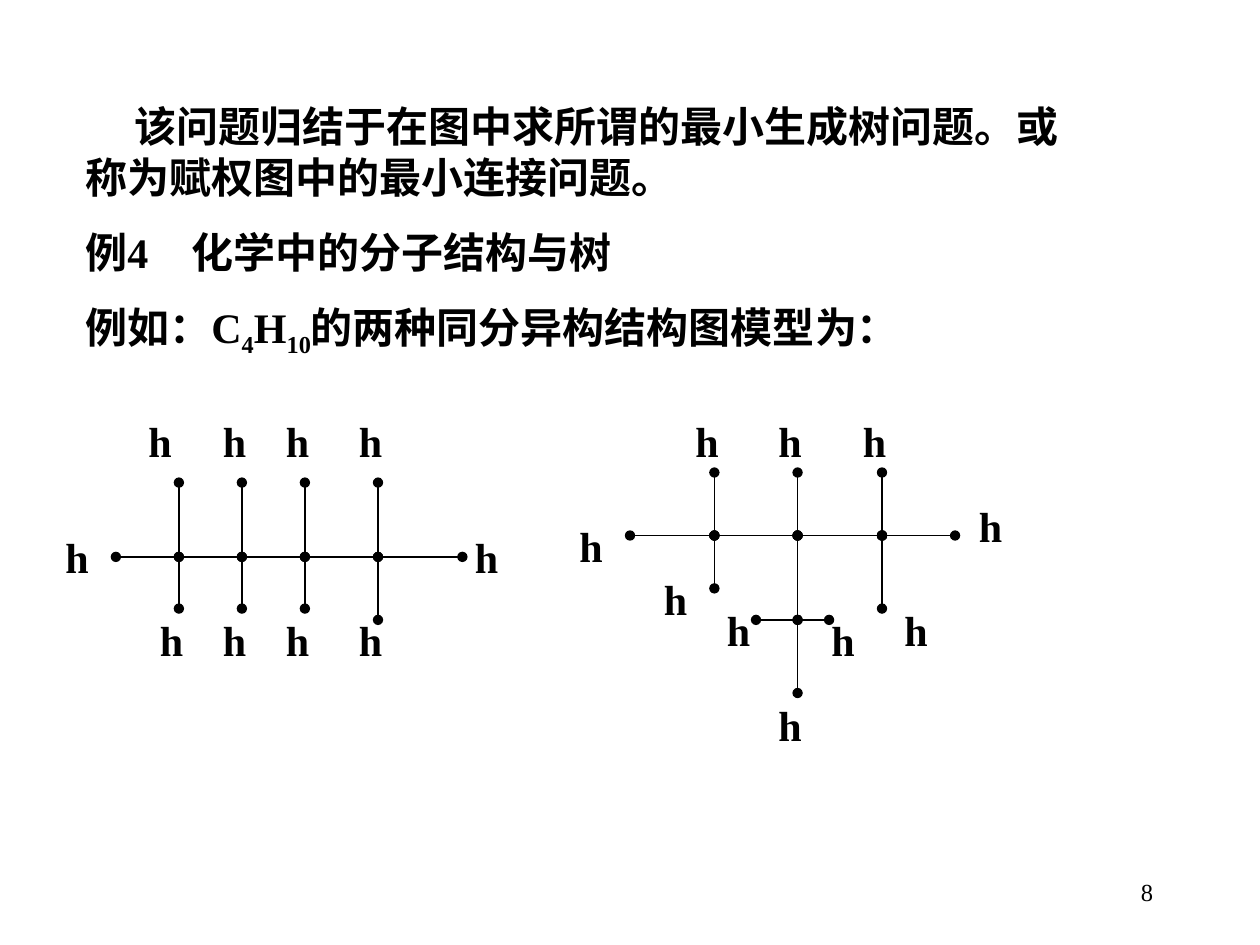
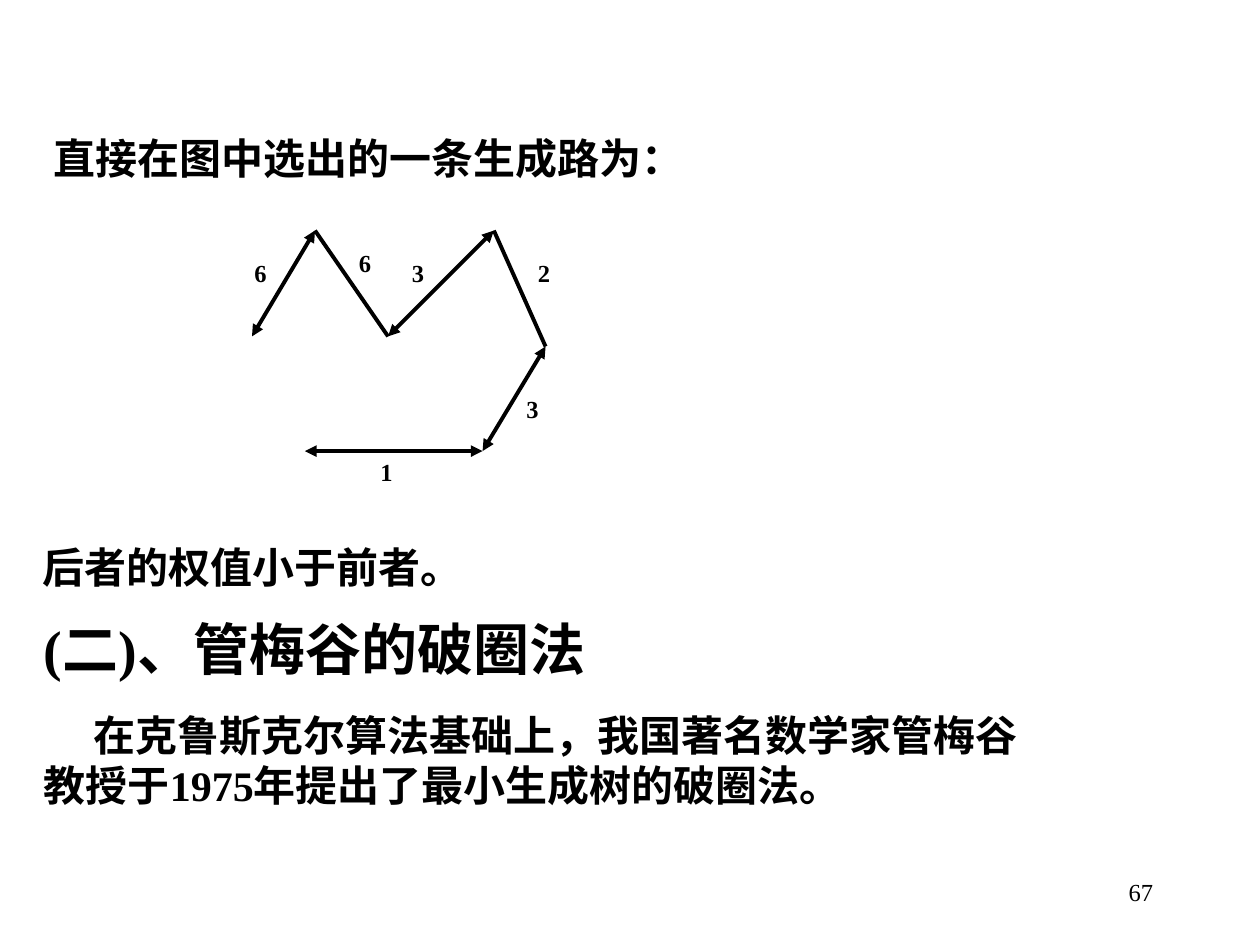
"""Build two slides on trees: molecular structure graphs and a spanning path."""
from itertools import pairwise

from lxml import etree
from pptx import Presentation
from pptx import util as u
from pptx.dml.color import RGBColor
from pptx.enum import shapes, text
from pptx.oxml.ns import qn

INK = "000000"
FONT = "Times New Roman"
BODY, SMALL, HEADING = 24, 14, 32
MIDDLE = text.MSO_ANCHOR.MIDDLE


def add_text(parent, at, runs, size=BODY, bold=True, anchor=text.MSO_ANCHOR.TOP,
             indent=0, tab=0, **paragraph):
    """Add a text box; runs is a string or a list of (text, baseline) pairs."""
    sp = parent.add_textbox(*map(u.Inches, at))
    tf = sp.text_frame
    tf.word_wrap = True
    tf.vertical_anchor = anchor
    p = tf.paragraphs[0]
    pPr = p._p.get_or_add_pPr()
    if indent:
        pPr.set("indent", str(u.Inches(indent)))
    if tab:
        tabs = etree.SubElement(pPr, qn("a:tabLst"))
        etree.SubElement(tabs, qn("a:tab"), pos=str(u.Inches(tab)), algn="l")
    for name, value in paragraph.items():
        setattr(p, name, value)
    for words, baseline in [(runs, 0)] if isinstance(runs, str) else runs:
        r = p.add_run()
        r.text = words
        for name, value in {"name": FONT, "size": u.Pt(size), "bold": bold}.items():
            setattr(r.font, name, value)
        r.font.color.rgb = RGBColor.from_string(INK)
        if baseline:
            r.font._element.set("baseline", str(baseline * 1000))


def add_line(parent, start, end, width, ends=None):
    """Add a straight line with the same mark at both ends."""
    sp = parent.add_connector(shapes.MSO_CONNECTOR.STRAIGHT,
                              *map(u.Inches, (*start, *end)))
    sp.line.color.rgb = RGBColor.from_string(INK)
    sp.line.width = u.Pt(width)
    if ends:
        for tag in ("a:headEnd", "a:tailEnd"):
            etree.SubElement(sp.line._get_or_add_ln(), qn(tag), type=ends)
    etree.SubElement(sp._element.spPr, qn("a:effectLst"))


prs = Presentation()
prs.slide_width, prs.slide_height = u.Inches(10), u.Inches(7.5)
slides = []
for number in ("8", "67"):
    s = prs.slides.add_slide(prs.slide_layouts[6])
    add_text(s.shapes, (7.17, 6.83, 2.08, 0.5), number, SMALL, bold=False,
             anchor=MIDDLE, alignment=text.PP_ALIGN.RIGHT)
    slides.append(s)
molecules, path = slides

add_text(molecules.shapes, (0.58, 0.75, 8.08, 0.9),
         "该问题归结于在图中求所谓的最小生成树问题。或称为赋权图中的最小连接问题。",
         anchor=MIDDLE, indent=0.39)
add_text(molecules.shapes, (0.58, 1.75, 8.17, 0.5),
         "例4\t化学中的分子结构与树", anchor=MIDDLE, tab=0.84)
add_text(molecules.shapes, (0.58, 2.25, 9, 0.65),
         [("例如：C", 0), ("4", -25), ("H", 0), ("10", -25),
          ("的两种同分异构结构图模型为：", 0)], line_spacing=1.2)

chain_x, chain_y = [0.92, 1.42, 1.92, 2.42, 3, 3.67], 4.42
chain_bonds = [((a, chain_y), (b, chain_y)) for a, b in pairwise(chain_x)]
for x, bottom in zip(chain_x[1:-1], [4.83, 4.83, 4.83, 4.92]):
    chain_bonds.append(((x, 3.83), (x, bottom)))
chain_labels = [(x, 3.25) for x in (1.08, 1.67, 2.17, 2.75)]
chain_labels += [(x, 4.83) for x in (1.17, 1.67, 2.17, 2.75)]
chain_labels += [(0.42, 4.17), (3.67, 4.17)]

branch_x, branch_y, fork_y = [5, 5.67, 6.33, 7, 7.58], 4.25, 4.92
branch_bonds = [((a, branch_y), (b, branch_y)) for a, b in pairwise(branch_x)]
for x, bottom in zip(branch_x[1:-1], [4.67, fork_y, 4.83]):
    branch_bonds += [((x, 3.75), (x, branch_y)), ((x, branch_y), (x, bottom))]
branch_bonds += [((6, fork_y), (6.58, fork_y)), ((6.33, fork_y), (6.33, 5.5))]
branch_labels = [(x, 3.25) for x in (5.42, 6.08, 6.75)]
branch_labels += [(4.5, 4.08), (7.67, 3.92), (5.17, 4.5), (5.67, 4.75),
                  (6.5, 4.83), (7.08, 4.75), (6.08, 5.5)]

for bonds, labels in ((chain_bonds, chain_labels), (branch_bonds, branch_labels)):
    molecule = molecules.shapes.add_group_shape().shapes
    for start, end in bonds:
        add_line(molecule, start, end, 0.75, "oval")
    for left, top in labels:
        add_text(molecule, (left, top, 0.6, 0.5), "h")

add_text(path.shapes, (0.33, 1, 8.25, 0.5), "直接在图中选出的一条生成路为：")

vertices = [(2, 2.67), (2.5, 1.83), (3.08, 2.67), (3.92, 1.83),
            (4.33, 2.75), (3.83, 3.58), (2.42, 3.58)]
arrows = ["triangle", None, "triangle", None, "triangle", "triangle"]
weights = [("6", 1.92, 2), ("6", 2.75, 1.92), ("3", 3.17, 2),
           ("2", 4.17, 2), ("3", 4.08, 3.08), ("1", 2.92, 3.58)]
graph = path.shapes.add_group_shape().shapes
for (start, end), ends, (weight, left, top) in zip(pairwise(vertices), arrows, weights):
    add_line(graph, start, end, 2.25, ends)
    add_text(graph, (left, top, 0.43, 0.34), weight, SMALL)

add_text(path.shapes, (0.24, 4.25, 8.25, 0.5), "后者的权值小于前者。")
add_text(path.shapes, (0.25, 4.83, 7.33, 0.64), "(二)、管梅谷的破圈法", HEADING)
add_text(path.shapes, (0.25, 5.58, 8.25, 0.9),
         "在克鲁斯克尔算法基础上，我国著名数学家管梅谷教授于1975年提出了最小生成树的破圈法。",
         indent=0.39)

prs.save("out.pptx")
